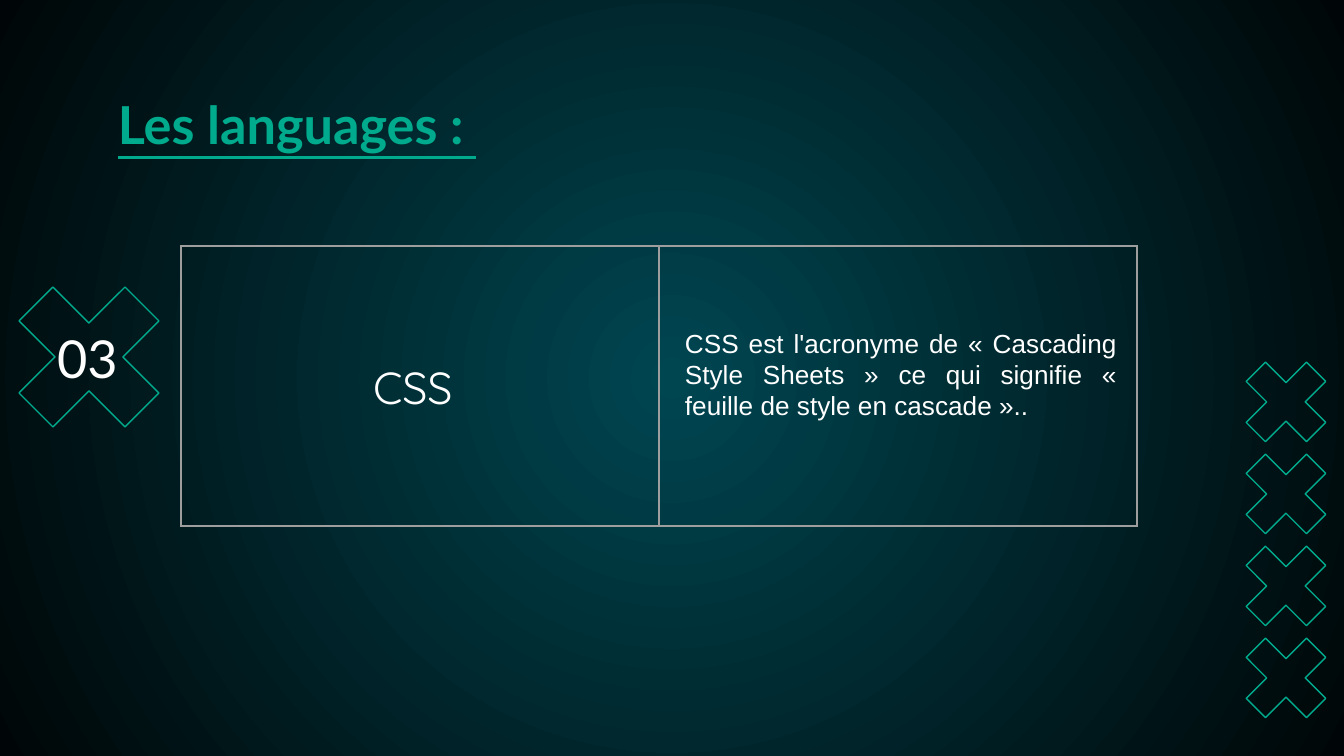
"""Build the CSS slide of a deck about web languages."""
from dataclasses import dataclass

from lxml.etree import SubElement
from pptx import Presentation
from pptx.dml.color import RGBColor
from pptx.enum.shapes import MSO_SHAPE
from pptx.enum.text import MSO_ANCHOR, PP_ALIGN
from pptx.oxml.ns import qn
from pptx.slide import Slide
from pptx.util import Emu, Pt

SCALE = 914400 / 134.4
TEAL = RGBColor(0x00, 0x46, 0x51)
NIGHT = RGBColor(0x00, 0x06, 0x07)
MINT = RGBColor(0x00, 0xAB, 0x8D)
GREY = RGBColor(0x9E, 0x9E, 0x9E)
WHITE = RGBColor(0xFF, 0xFF, 0xFF)


@dataclass(frozen=True)
class Box:
    left: int
    top: int
    width: int
    height: int

    def emu(self) -> list[Emu]:
        return [px(n) for n in (self.left, self.top, self.width, self.height)]


def px(count: int) -> Emu:
    return Emu(round(count * SCALE))


CROSSES = [Box(-13, 255, 204, 204)] + [Box(1228, 344 + 92 * i, 116, 116) for i in range(4)]


def paint(slide: Slide) -> None:
    fill = slide.background.fill
    fill.gradient()
    for stop, color, place in zip(fill.gradient_stops, (TEAL, NIGHT), (0, 1)):
        stop.color.rgb = color
        stop.position = place
    grad = slide.element.find(".//" + qn("a:gradFill"))
    grad.remove(grad.find(qn("a:lin")))
    ring = SubElement(grad, qn("a:path"), {"path": "circle"})
    SubElement(ring, qn("a:fillToRect"), dict.fromkeys("ltrb", "50000"))


def cross(slide: Slide, box: Box) -> None:
    shape = slide.shapes.add_shape(MSO_SHAPE.MATH_MULTIPLY, *box.emu())
    shape.adjustments[0] = 0.235
    shape.shadow.inherit = False
    shape.fill.background()
    shape.line.color.rgb = MINT
    shape.line.width = Pt(0.75)


def write(slide: Slide, box: Box, text: str, *, size: int, font: str,
          color: RGBColor = WHITE, bold: bool = False, under: bool = False,
          align: PP_ALIGN = PP_ALIGN.LEFT, anchor: MSO_ANCHOR = MSO_ANCHOR.TOP,
          inset: int = 7) -> None:
    frame = slide.shapes.add_textbox(*box.emu()).text_frame
    frame.word_wrap = True
    frame.vertical_anchor = anchor
    frame.margin_left = frame.margin_right = px(13)
    frame.margin_top = frame.margin_bottom = px(inset)
    para = frame.paragraphs[0]
    para.alignment = align
    run = para.add_run()
    run.text = text
    run.font.name = font
    run.font.size = Pt(size)
    run.font.bold = bold
    run.font.underline = under
    run.font.color.rgb = color


def grid(slide: Slide, box: Box) -> None:
    table = slide.shapes.add_table(1, 2, *box.emu()).table
    table.first_row = table.horz_banding = False
    for cell in table.iter_cells():
        props = cell._tc.get_or_add_tcPr()
        for side in "LRTB":
            line = SubElement(props, qn(f"a:ln{side}"), {"w": str(Pt(0.75))})
            solid = SubElement(line, qn("a:solidFill"))
            SubElement(solid, qn("a:srgbClr"), {"val": str(GREY)})
        cell.fill.background()


def main() -> None:
    deck = Presentation()
    deck.slide_width, deck.slide_height = px(1344), px(756)
    slide = deck.slides.add_slide(deck.slide_layouts[6])
    paint(slide)
    for box in CROSSES:
        cross(slide, box)
    write(slide, Box(105, 79, 1134, 85), "Les languages : ", size=28, font="Lato",
          color=MINT, bold=True, under=True, inset=13)
    grid(slide, Box(181, 246, 956, 280))
    write(slide, Box(360, 353, 121, 99), "CSS", size=24, font="Quicksand")
    write(slide, Box(672, 320, 458, 140),
          "CSS est l'acronyme de « Cascading Style Sheets » ce qui signifie "
          "« feuille de style en cascade »..",
          size=14, font="Arial", align=PP_ALIGN.JUSTIFY)
    write(slide, Box(25, 324, 125, 67), "03", size=28, font="Lato",
          align=PP_ALIGN.CENTER, anchor=MSO_ANCHOR.MIDDLE, inset=13)
    deck.save("out.pptx")


if __name__ == "__main__":
    main()
